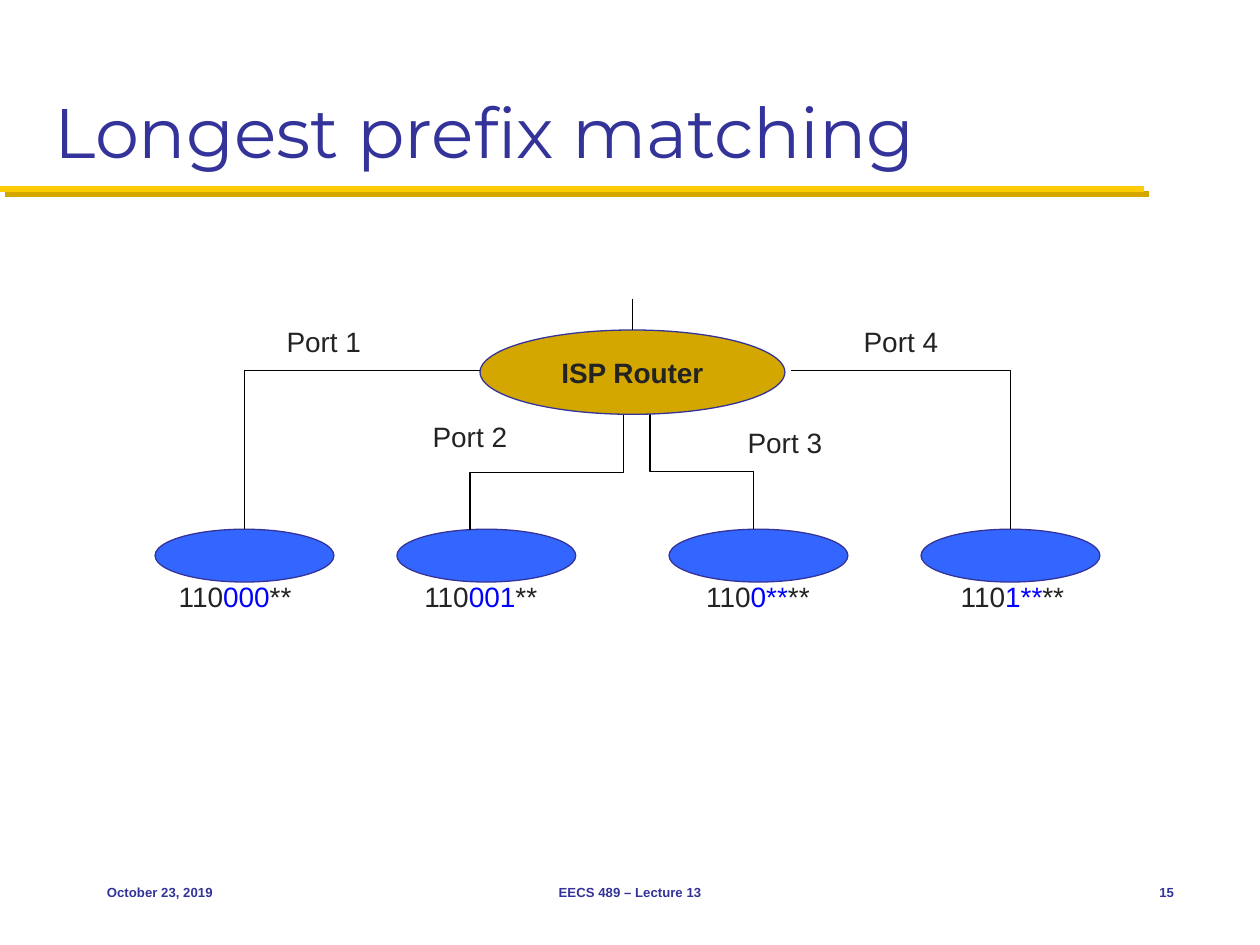
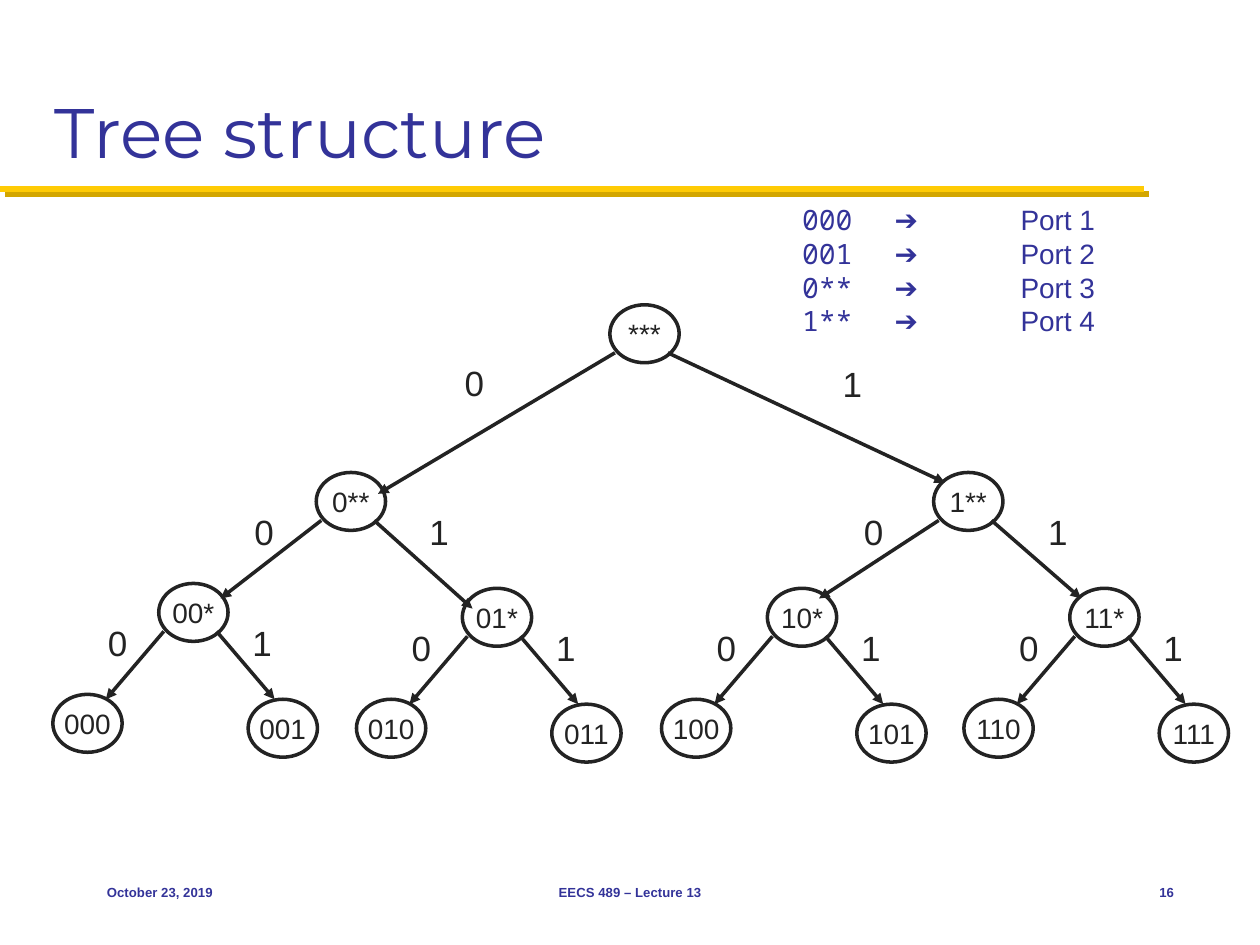
"""Build two slides on longest prefix matching and its tree of address bits."""
from dataclasses import dataclass

from lxml.etree import SubElement
from pptx import Presentation
from pptx.dml.color import RGBColor
from pptx.enum.shapes import MSO_CONNECTOR as Link, MSO_SHAPE as Preset
from pptx.enum.text import MSO_ANCHOR as Anchor, PP_ALIGN as Align
from pptx.oxml.ns import qn
from pptx.shapes.autoshape import Shape
from pptx.shapes.connector import Connector
from pptx.slide import Slide
from pptx.text.text import _Run as Run
from pptx.util import Pt

NAVY, MAIZE, GOLD, BLUE = "333399", "FFCB05", "D3A600", "3366FF"
INK, BRIGHT_BLUE, BLACK, WHITE = "232323", "0000FF", "000000", "FFFFFF"
BODY_FONT, TITLE_FONT, CODE_FONT = "Arial", "Montserrat", "Noto Sans Mono"

NODE_WIDTH, NODE_HEIGHT = 39.6, 33.1
SUBNET_WIDTH, SUBNET_HEIGHT, SUBNET_TOP = 102.2, 30.2, 302.4

Point = tuple[float, float]


@dataclass(frozen=True)
class Box:
    """Place of a shape, in points."""
    left: float
    top: float
    width: float
    height: float


@dataclass(frozen=True)
class Style:
    """Look of a piece of text."""
    size: float = 16
    color: str = INK
    font: str = BODY_FONT
    bold: bool = False


@dataclass(frozen=True)
class Footer:
    """One entry in the bottom row."""
    box: Box
    text: str
    align: Align


@dataclass(frozen=True)
class Port:
    """A router port, its wire and the subnet it reaches."""
    name: str
    name_at: Point
    start: Point
    end: Point
    subnet_left: float
    prefix_left: float
    prefix: str


@dataclass(frozen=True)
class Node:
    """A tree node with the top left corner of its oval."""
    pattern: str
    left: float
    top: float


@dataclass(frozen=True)
class Edge:
    """An arrow from a node for one bit, with the place of the bit."""
    parent: Node
    bit: int
    end: Point
    bit_at: Point


PORTS = [
    Port("Port 1", (151.9, 182.2), (278.6, 211.7), (139.7, 302.4), 88.6, 72, "000"),
    Port("Port 2", (235.4, 236.2), (356.4, 236.9), (268.6, 303.1), 226.8, 212.4, "001"),
    Port("Port 3", (415.4, 239.8), (371.5, 236.2), (430.6, 302.4), 382.3, 370.8, "0**"),
    Port("Port 4", (481.7, 182.2), (452.2, 211.7), (577.4, 302.4), 526.3, 516.2, "1**"),
]

ROOT = Node("***", 348.5, 174.2)
ZERO, ONE = Node("0**", 180.7, 270), Node("1**", 533.5, 270)
PAIR_NODES = [
    Node("00*", 90.7, 333.4), Node("01*", 264.2, 336.2),
    Node("10*", 438.5, 336.2), Node("11*", 611.3, 336.2),
]
UPPER_EDGES = [
    Edge(ROOT, 0, (216, 282.2), (252, 203)),
    Edge(ROOT, 1, (540, 275.8), (468, 203.8)),
    Edge(ZERO, 0, (126, 342), (131.8, 288)),
    Edge(ZERO, 1, (270, 347.8), (231.8, 288)),
    Edge(ONE, 0, (468, 342), (480.2, 288)),
    Edge(ONE, 1, (617.8, 342), (585.4, 288)),
]
EDGE_STARTS = [(2.9, 27.4), (33.1, 27.4)]
LEAF_OFFSETS = [(-60.5, 63.4), (51.1, 66.2)]
LEAF_TIPS = [(-30.2, 66.2), (66.2, 66.2)]
LEAF_BITS = [(-42.5, 18), (40, 18)]


def rgb(color: str) -> RGBColor:
    """Turn a hex string into a colour."""
    return RGBColor.from_string(color)


def shift(node: Node, offset: Point) -> Point:
    """Give the point at an offset from a node's corner."""
    return node.left + offset[0], node.top + offset[1]


def style_run(run: Run, style: Style) -> None:
    """Apply a text style to a run."""
    run.font.size, run.font.name, run.font.bold = Pt(style.size), style.font, style.bold
    run.font.color.rgb = rgb(style.color)


def write(shape: Shape, text: str, style: Style, align: Align = Align.CENTER,
          anchor: Anchor = Anchor.TOP, wrap: bool = True) -> None:
    """Put one styled line of text into a shape."""
    frame = shape.text_frame
    frame.text = text
    frame.word_wrap, frame.vertical_anchor = wrap, anchor
    frame.paragraphs[0].alignment = align
    style_run(frame.paragraphs[0].runs[0], style)


def add_text_box(slide: Slide, box: Box) -> Shape:
    """Add an empty wrapping text box."""
    shape = slide.shapes.add_textbox(Pt(box.left), Pt(box.top), Pt(box.width), Pt(box.height))
    shape.text_frame.word_wrap = True
    return shape


def add_oval(slide: Slide, box: Box, fill: str, outline: str, weight: float) -> Shape:
    """Add a filled and outlined oval."""
    oval = slide.shapes.add_shape(Preset.OVAL, Pt(box.left), Pt(box.top),
                                  Pt(box.width), Pt(box.height))
    oval.shadow.inherit = False
    oval.fill.solid()
    oval.fill.fore_color.rgb = rgb(fill)
    oval.line.color.rgb = rgb(outline)
    oval.line.width = Pt(weight)
    return oval


def add_line(slide: Slide, start: Point, end: Point, color: str, weight: float,
             kind: Link = Link.STRAIGHT) -> Connector:
    """Add a plain connector without a shadow."""
    line = slide.shapes.add_connector(kind, *(Pt(value) for value in (*start, *end)))
    line.line.color.rgb = rgb(color)
    line.line.width = Pt(weight)
    SubElement(line._element.spPr, qn("a:effectLst"))
    return line


def add_arrow(slide: Slide, start: Point, end: Point) -> None:
    """Add a tree arrow."""
    arrow = add_line(slide, start, end, INK, 2)
    SubElement(arrow.line._get_or_add_ln(), qn("a:tailEnd"), type="triangle")


def add_side_wire(slide: Slide, start: Point, end: Point) -> None:
    """Add a wire that runs sideways and then down."""
    wire = add_line(slide, start, end, BLACK, 0.75, Link.ELBOW)
    wire._element.spPr.find(qn("a:prstGeom")).set("prst", "bentConnector2")


def add_step_wire(slide: Slide, start: Point, end: Point) -> None:
    """Add a wire that runs down, sideways and down again."""
    middle_x, middle_y = (start[0] + end[0]) / 2, (start[1] + end[1]) / 2
    half_run, half_drop = (end[0] - start[0]) / 2, (end[1] - start[1]) / 2
    wire = add_line(slide, (middle_x - half_drop, middle_y + half_run),
                    (middle_x + half_drop, middle_y - half_run), BLACK, 0.75, Link.ELBOW)
    wire._element.spPr.find(qn("a:xfrm")).set("rot", "5400000")


def start_slide(deck: Presentation, title: str, number: int) -> Slide:
    """Add a slide with the shared title, rule and footers."""
    slide = deck.slides.add_slide(deck.slide_layouts[6])
    slide.background.fill.solid()
    slide.background.fill.fore_color.rgb = rgb(WHITE)
    for offset, color in ((3, GOLD), (0, MAIZE)):
        add_line(slide, (offset, 108 + offset), (653.8 + offset, 108 + offset), color, 3.5)
    write(add_text_box(slide, Box(24, 12, 672, 90)), title,
          Style(40, NAVY, TITLE_FONT), Align.LEFT, Anchor.BOTTOM)
    footers = [
        Footer(Box(54, 492, 150, 36), "October 23, 2019", Align.LEFT),
        Footer(Box(246, 492, 228, 36), "EECS 489 – Lecture 13", Align.CENTER),
        Footer(Box(630, 492, 48, 36), str(number), Align.RIGHT),
    ]
    for footer in footers:
        write(add_text_box(slide, footer.box), footer.text,
              Style(7.5, NAVY, bold=True), footer.align, Anchor.MIDDLE)
    return slide


def add_prefix(slide: Slide, port: Port) -> None:
    """Write a subnet's prefix with its deciding bits in blue."""
    label = add_text_box(slide, Box(port.prefix_left, 327.6, 124.6, 26.6))
    paragraph = label.text_frame.paragraphs[0]
    paragraph.alignment = Align.CENTER
    for text, color in (("110", INK), (port.prefix, BRIGHT_BLUE), ("**", INK)):
        run = paragraph.add_run()
        run.text = text
        style_run(run, Style(color=color))


def build_matching_slide(deck: Presentation) -> None:
    """Draw the router with its four ports and subnets."""
    slide = start_slide(deck, "Longest prefix matching", 15)
    for port in PORTS:
        add_oval(slide, Box(port.subnet_left, SUBNET_TOP, SUBNET_WIDTH, SUBNET_HEIGHT),
                 BLUE, NAVY, 0.75)
        add_prefix(slide, port)
        write(add_text_box(slide, Box(*port.name_at, 66.2, 26.6)), port.name, Style())
    for port, add_wire in zip(PORTS, (add_side_wire, add_step_wire, add_step_wire, add_side_wire)):
        add_wire(slide, port.start, port.end)
    router = add_oval(slide, Box(274.3, 188.6, 174.2, 48.2), GOLD, NAVY, 0.75)
    write(router, "ISP Router", Style(bold=True), anchor=Anchor.MIDDLE, wrap=False)
    uplink = add_line(slide, (361.4, 170.6), (361.4, 188.6), BLACK, 0.75)
    uplink.end_connect(router, 0)


def add_port_list(slide: Slide) -> None:
    """List which bits lead to which port."""
    frame = add_text_box(slide, Box(458.4, 112.4, 231.6, 84)).text_frame
    frame.margin_left = 0
    for index, port in enumerate(PORTS):
        paragraph = frame.paragraphs[0] if index == 0 else frame.add_paragraph()
        stops = SubElement(paragraph._p.get_or_add_pPr(), qn("a:tabLst"))
        for position in (52.8, 124.8):
            SubElement(stops, qn("a:tab"), pos=str(Pt(position)), algn="l")
        for text, font in ((f"{port.prefix}\t", CODE_FONT), (f"➔\t{port.name}", BODY_FONT)):
            run = paragraph.add_run()
            run.text = text
            style_run(run, Style(color=NAVY, font=font))


def build_tree_slide(deck: Presentation) -> None:
    """Draw the binary tree of address bits."""
    slide = start_slide(deck, "Tree structure", 16)
    nodes, edges = [ROOT, ZERO, ONE, *PAIR_NODES], list(UPPER_EDGES)
    for parent in PAIR_NODES:
        for bit in (0, 1):
            nodes.append(Node(f"{parent.pattern[:2]}{bit}", *shift(parent, LEAF_OFFSETS[bit])))
            edges.append(Edge(parent, bit, shift(parent, LEAF_TIPS[bit]),
                              shift(parent, LEAF_BITS[bit])))
    for node in nodes:
        oval = add_oval(slide, Box(node.left, node.top, NODE_WIDTH, NODE_HEIGHT), WHITE, INK, 2)
        write(oval, node.pattern, Style(), anchor=Anchor.MIDDLE, wrap=False)
    for edge in edges:
        add_arrow(slide, shift(edge.parent, EDGE_STARTS[edge.bit]), edge.end)
        write(add_text_box(slide, Box(*edge.bit_at, 38.2, 31)), str(edge.bit), Style(20))
    add_port_list(slide)


def main() -> None:
    """Build and save the deck."""
    deck = Presentation()
    deck.slide_width, deck.slide_height = Pt(720), Pt(540)
    build_matching_slide(deck)
    build_tree_slide(deck)
    deck.save("out.pptx")


if __name__ == "__main__":
    main()
